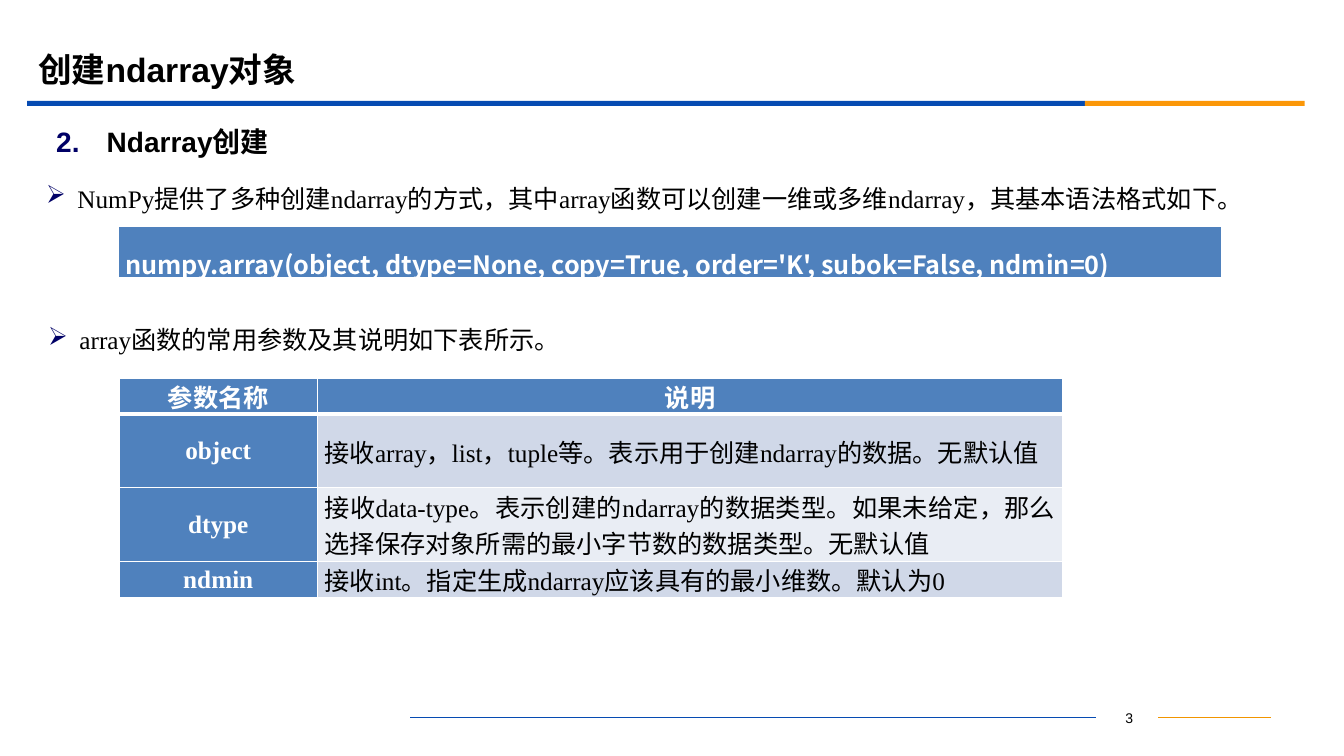
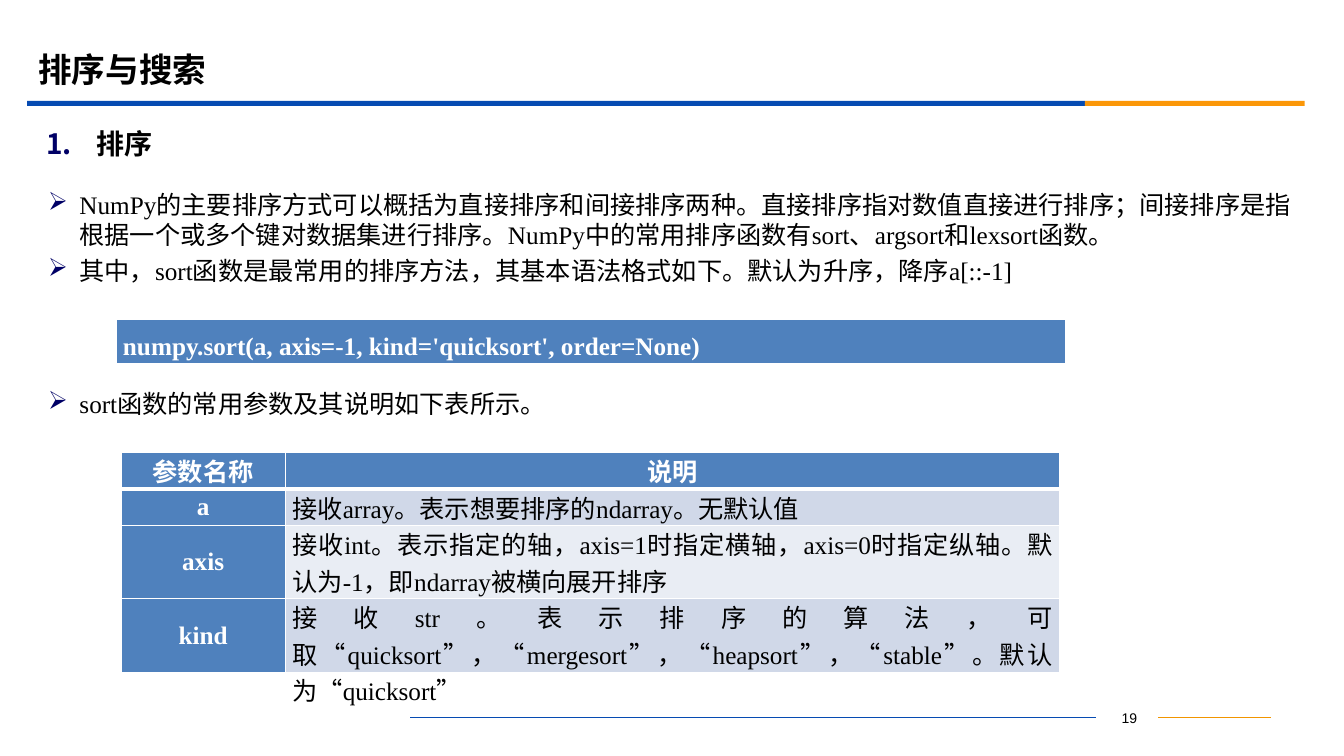
"""Build two lecture slides about creating and sorting NumPy arrays."""
from dataclasses import dataclass

from lxml import etree
from pptx import Presentation
from pptx.dml.color import RGBColor
from pptx.enum.shapes import MSO_CONNECTOR, MSO_SHAPE
from pptx.enum.text import MSO_ANCHOR, PP_ALIGN
from pptx.oxml.ns import qn
from pptx.util import Inches, Pt

RECT = MSO_SHAPE.RECTANGLE
STRAIGHT = MSO_CONNECTOR.STRAIGHT
MIDDLE, TOP = MSO_ANCHOR.MIDDLE, MSO_ANCHOR.TOP
LEFT, CENTER, JUSTIFY = PP_ALIGN.LEFT, PP_ALIGN.CENTER, PP_ALIGN.JUSTIFY

BLACK = RGBColor(0x00, 0x00, 0x00)
WHITE = RGBColor(0xFF, 0xFF, 0xFF)
BLUE = RGBColor(0x06, 0x4B, 0xB2)
ORANGE = RGBColor(0xFB, 0x97, 0x08)
AMBER = RGBColor(0xF1, 0x95, 0x00)
NAVY = RGBColor(0x00, 0x00, 0x66)
HEADER = RGBColor(0x4F, 0x81, 0xBD)
BANDS = (RGBColor(0xD0, 0xD8, 0xE8), RGBColor(0xE9, 0xED, 0xF4))

SANS, SERIF, CJK = "Arial", "Times New Roman", "Noto Sans CJK SC"
ONE_LINE, TWO_LINES = 0.36, 0.73


@dataclass(frozen=True)
class Box:
    """Position and size in inches."""
    x: float
    y: float
    w: float
    h: float


@dataclass(frozen=True)
class Heading:
    """Numbered section heading."""
    box: Box
    number: int
    text: str


@dataclass(frozen=True)
class Bullets:
    """Text box of arrow bullets."""
    box: Box
    lines: tuple[str, ...]


@dataclass(frozen=True)
class Code:
    """One-line syntax bar."""
    box: Box
    text: str
    font: str


@dataclass(frozen=True)
class Params:
    """Table of parameter names and descriptions."""
    x: float
    y: float
    cols: tuple[float, float]
    heights: tuple[float, ...]
    rows: tuple[tuple[str, str], ...]


@dataclass(frozen=True)
class Page:
    """Content of one slide."""
    number: int
    title: str
    heading: Heading
    bullets: tuple[Bullets, ...]
    code: Code
    params: Params


BARS = ((Box(0.27, 1, 10.49, 0.05), BLUE), (Box(10.76, 1, 2.18, 0.05), ORANGE))
FOOTER_LINES = ((11.49, 12.61, AMBER), (4.07, 10.87, BLUE))
FOOTER_Y = 7.12
NUMBER_BOX = Box(10.89, 6.99, 0.62, 0.25)
TITLE_BOX = Box(0.28, 0.4, 12, 0.58)
TABLE_HEAD = ("参数名称", "说明")

PAGES = (
    Page(
        3, "创建ndarray对象",
        Heading(Box(0.46, 1.17, 12.47, 0.47), 2, "Ndarray创建"),
        (
            Bullets(Box(0.36, 1.68, 12.58, 0.57), (
                "NumPy提供了多种创建ndarray的方式，其中array函数可以创建一维或多维ndarray，其基本语法格式如下。",)),
            Bullets(Box(0.38, 2.98, 12.58, 0.77), ("array函数的常用参数及其说明如下表所示。",)),
        ),
        Code(Box(1.17, 2.25, 10.95, 0.52),
             "numpy.array(object, dtype=None, copy=True, order='K', subok=False, ndmin=0)", CJK),
        Params(1.18, 3.75, (1.97, 7.39), (ONE_LINE, TWO_LINES, TWO_LINES, ONE_LINE), (
            TABLE_HEAD,
            ("object", "接收array，list，tuple等。表示用于创建ndarray的数据。无默认值"),
            ("dtype", "接收data-type。表示创建的ndarray的数据类型。如果未给定，那么选择保存对象所需的最小字节数的数据类型。无默认值"),
            ("ndmin", "接收int。指定生成ndarray应该具有的最小维数。默认为0"),
        )),
    ),
    Page(
        19, "排序与搜索",
        Heading(Box(0.36, 1.19, 12.15, 0.47), 1, "排序"),
        (
            Bullets(Box(0.38, 1.7, 12.58, 1.31), (
                "NumPy的主要排序方式可以概括为直接排序和间接排序两种。直接排序指对数值直接进行排序；间接排序是"
                "指根据一个或多个键对数据集进行排序。NumPy中的常用排序函数有sort、argsort和lexsort函数。",
                "其中，sort函数是最常用的排序方法，其基本语法格式如下。默认为升序，降序a[::-1]")),
            Bullets(Box(0.38, 3.75, 12.58, 0.5), ("sort函数的常用参数及其说明如下表所示。",)),
        ),
        Code(Box(1.15, 3.17, 9.42, 0.43),
             "numpy.sort(a, axis=-1, kind='quicksort', order=None)", SERIF),
        Params(1.2, 4.49, (1.63, 7.68), (ONE_LINE, ONE_LINE, TWO_LINES, TWO_LINES), (
            TABLE_HEAD,
            ("a", "接收array。表示想要排序的ndarray。无默认值"),
            ("axis", "接收int。表示指定的轴，axis=1时指定横轴，axis=0时指定纵轴。默认为-1，即ndarray被横向展开排序"),
            ("kind", "接收str。表示排序的算法，可取“quicksort”，“mergesort”，“heapsort”，“stable”。默认为“quicksort”"),
        )),
    ),
)


def lengths(box: Box) -> tuple:
    """Convert a box to slide lengths."""
    return Inches(box.x), Inches(box.y), Inches(box.w), Inches(box.h)


def format_paragraph(p, size: float, font: str, color: RGBColor = BLACK,
                     bold: bool = False, align=LEFT) -> None:
    """Apply alignment and font to a paragraph and its runs."""
    p.alignment = align
    for r in p.runs:
        r.font.size = Pt(size)
        r.font.bold = bold
        r.font.color.rgb = color
        r.font.name = font
        etree.SubElement(r.font._element, qn("a:ea"), typeface=CJK)


def add_marker(p, indent: float, tag: str, **attrs: str) -> None:
    """Give a paragraph a coloured hanging marker and space before."""
    ppr = p._p.get_or_add_pPr()
    ppr.set("marL", str(Inches(indent)))
    ppr.set("indent", str(-Inches(indent)))
    before = etree.SubElement(ppr, qn("a:spcBef"))
    etree.SubElement(before, qn("a:spcPct"), val="20000")
    color = etree.SubElement(ppr, qn("a:buClr"))
    etree.SubElement(color, qn("a:srgbClr"), val=str(NAVY))
    if tag == "a:buChar":
        etree.SubElement(ppr, qn("a:buFont"), typeface="Wingdings", charset="2")
    etree.SubElement(ppr, qn(tag), **attrs)


def add_text(s, box: Box, lines: tuple[str, ...], anchor=MIDDLE):
    """Add a wrapping text box and return its text frame."""
    tf = s.shapes.add_textbox(*lengths(box)).text_frame
    tf.word_wrap = True
    tf.vertical_anchor = anchor
    tf.text = "\n".join(lines)
    return tf


def add_frame(s, page: Page) -> None:
    """Draw the title, colour bars and footer."""
    for box, color in BARS:
        bar = s.shapes.add_shape(RECT, *lengths(box))
        bar.shadow.inherit = False
        bar.fill.solid()
        bar.fill.fore_color.rgb = color
        bar.line.fill.background()
    for start, end, color in FOOTER_LINES:
        line = s.shapes.add_connector(STRAIGHT, Inches(start), Inches(FOOTER_Y),
                                      Inches(end), Inches(FOOTER_Y))
        line.line.color.rgb = color
        line.line.width = Pt(0.75)
        etree.SubElement(line._element.spPr, qn("a:effectLst"))
    tf = add_text(s, NUMBER_BOX, (str(page.number),), TOP)
    format_paragraph(tf.paragraphs[0], 10, SANS, align=CENTER)

    title = s.shapes.title
    title.left, title.top, title.width, title.height = lengths(TITLE_BOX)
    title.text_frame.text = page.title
    title.text_frame.vertical_anchor = MIDDLE
    format_paragraph(title.text_frame.paragraphs[0], 24, SANS, bold=True)


def add_heading(s, heading: Heading) -> None:
    """Add the numbered section heading."""
    p = add_text(s, heading.box, (heading.text,)).paragraphs[0]
    format_paragraph(p, 20, SANS, bold=True)
    add_marker(p, 0.5, "a:buAutoNum", type="arabicPeriod", startAt=str(heading.number))


def add_bullets(s, bullets: Bullets) -> None:
    """Add arrow-bulleted paragraphs."""
    for p in add_text(s, bullets.box, bullets.lines).paragraphs:
        format_paragraph(p, 18, SERIF)
        add_marker(p, 0.31, "a:buChar", char="Ø")


def format_cell(cell, text: str, fill: RGBColor, top: float, bottom: float,
                anchor=MIDDLE) -> None:
    """Set text, margins, white borders and fill of a cell."""
    cell.text_frame.text = text
    cell.vertical_anchor = anchor
    cell.margin_left = cell.margin_right = Inches(0.07)
    cell.margin_top = cell.margin_bottom = Inches(0)
    tcpr = cell._tc.get_or_add_tcPr()
    for side, width in (("L", 1), ("R", 1), ("T", top), ("B", bottom)):
        line = etree.SubElement(tcpr, qn(f"a:ln{side}"), w=str(Pt(width)))
        solid = etree.SubElement(line, qn("a:solidFill"))
        etree.SubElement(solid, qn("a:srgbClr"), val=str(WHITE))
    cell.fill.solid()
    cell.fill.fore_color.rgb = fill


def add_code(s, code: Code) -> None:
    """Add the syntax bar as a one-cell table."""
    table = s.shapes.add_table(1, 1, *lengths(code.box)).table
    cell = table.cell(0, 0)
    format_cell(cell, code.text, HEADER, 1, 3, TOP)
    p = cell.text_frame.paragraphs[0]
    p.line_spacing = 1.5
    format_paragraph(p, 18, code.font, WHITE, True, JUSTIFY)


def add_params(s, params: Params) -> None:
    """Add the parameter table with a header row and name column."""
    box = Box(params.x, params.y, sum(params.cols), sum(params.heights))
    table = s.shapes.add_table(len(params.rows), len(params.cols), *lengths(box)).table
    for column, width in zip(table.columns, params.cols):
        column.width = Inches(width)
    for i, (values, height) in enumerate(zip(params.rows, params.heights)):
        table.rows[i].height = Inches(height)
        for j, text in enumerate(values):
            head = i == 0 or j == 0
            cell = table.cell(i, j)
            format_cell(cell, text, HEADER if head else BANDS[(i - 1) % 2],
                        3 if i == 1 else 1, 3 if i == 0 else 1)
            format_paragraph(cell.text_frame.paragraphs[0], 18, SERIF,
                             WHITE if head else BLACK, head,
                             CENTER if head else JUSTIFY)


def build() -> None:
    """Create and save the presentation."""
    prs = Presentation()
    prs.slide_width, prs.slide_height = Inches(13.33), Inches(7.5)
    for page in PAGES:
        s = prs.slides.add_slide(prs.slide_layouts[5])
        add_frame(s, page)
        add_heading(s, page.heading)
        for bullets in page.bullets:
            add_bullets(s, bullets)
        add_code(s, page.code)
        add_params(s, page.params)
    prs.save("out.pptx")


build()
